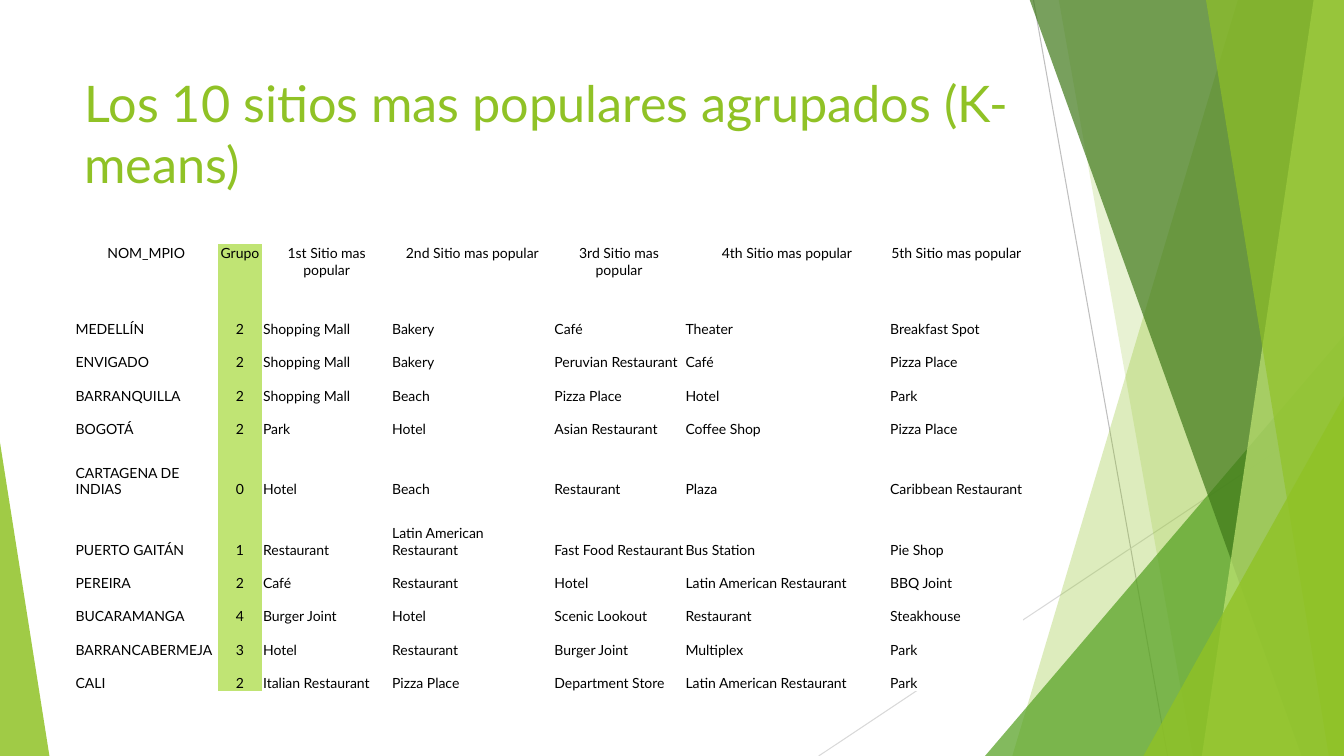
from dataclasses import dataclass

import pptx
import pptx.dml.color
import pptx.enum.dml
import pptx.enum.shapes
import pptx.enum.text
import pptx.oxml
import pptx.oxml.ns
import pptx.util
from pptx.dml.color import RGBColor

PX = 9144
WIDTH, HEIGHT = 1333, 750
FONT = "Lato"
NO_GRID_STYLE = "{2D5ABB26-0587-4C30-8999-92F81FD0307C}"

BLACK = RGBColor(0x00, 0x00, 0x00)
WHITE = RGBColor(0xFF, 0xFF, 0xFF)
SILVER = RGBColor(0xBF, 0xBF, 0xBF)
PALE_GRAY = RGBColor(0xD9, 0xD9, 0xD9)
LIME = RGBColor(0x90, 0xC2, 0x26)
PALE_LIME = RGBColor(0xC0, 0xE4, 0x74)
GREEN = RGBColor(0x54, 0xA0, 0x21)
DARK_GREEN = RGBColor(0x3F, 0x78, 0x19)


@dataclass(frozen=True)
class Ray:
    start: tuple[int, int]
    end: tuple[int, int]
    color: RGBColor


@dataclass(frozen=True)
class Band:
    top_left: int
    bottom_left: int
    color: RGBColor
    opacity: int


@dataclass(frozen=True)
class Corner:
    left: int
    top: int
    width: int
    apex: int
    color: RGBColor
    opacity: int


RAYS = [
    Ray((1025, 0), (1158, HEIGHT), SILVER),
    Ray((WIDTH, 403), (812, HEIGHT), PALE_GRAY),
]
FACETS = [
    Band(1228, 1004, LIME, 30),
    Band(1050, 1183, LIME, 20),
    Corner(977, 333, 356, 1, GREEN, 72),
    Band(1021, 1291, DARK_GREEN, 70),
    Band(1303, 1192, PALE_LIME, 70),
    Band(1196, 1318, LIME, 65),
    Corner(1134, 393, 199, 1, LIME, 80),
    Corner(0, 439, 49, 0, LIME, 85),
]

TITLE = "Los 10 sitios mas populares agrupados (K-means)"
GROUP_COLUMN = 1
COLUMN_WIDTHS = [142, 44, 128, 161, 130, 203, 133]
TALL_ROWS = {0, 5, 6}
ROWS = [
    ["NOM_MPIO", "Grupo", "1st Sitio mas popular", "2nd Sitio mas popular",
     "3rd Sitio mas popular", "4th Sitio mas popular", "5th Sitio mas popular"],
    ["MEDELLÍN", "2", "Shopping Mall", "Bakery", "Café", "Theater", "Breakfast Spot"],
    ["ENVIGADO", "2", "Shopping Mall", "Bakery", "Peruvian Restaurant", "Café", "Pizza Place"],
    ["BARRANQUILLA", "2", "Shopping Mall", "Beach", "Pizza Place", "Hotel", "Park"],
    ["BOGOTÁ", "2", "Park", "Hotel", "Asian Restaurant", "Coffee Shop", "Pizza Place"],
    ["CARTAGENA DE INDIAS", "0", "Hotel", "Beach", "Restaurant", "Plaza", "Caribbean Restaurant"],
    ["PUERTO GAITÁN", "1", "Restaurant", "Latin American Restaurant",
     "Fast Food Restaurant", "Bus Station", "Pie Shop"],
    ["PEREIRA", "2", "Café", "Restaurant", "Hotel", "Latin American Restaurant", "BBQ Joint"],
    ["BUCARAMANGA", "4", "Burger Joint", "Hotel", "Scenic Lookout", "Restaurant", "Steakhouse"],
    ["BARRANCABERMEJA", "3", "Hotel", "Restaurant", "Burger Joint", "Multiplex", "Park"],
    ["CALI", "2", "Italian Restaurant", "Pizza Place", "Department Store",
     "Latin American Restaurant", "Park"],
]


def px(n: int) -> pptx.util.Emu:
    return pptx.util.Emu(n * PX)


def set_font(p, size: int, color: RGBColor) -> None:
    p.font.name = FONT
    p.font.size = pptx.util.Pt(size)
    p.font.color.rgb = color


def add_ray(s, ray: Ray) -> None:
    line = s.shapes.add_connector(
        pptx.enum.shapes.MSO_CONNECTOR.STRAIGHT, *map(px, ray.start + ray.end))
    line.line.color.rgb = ray.color
    line.line.width = pptx.util.Pt(0.75)
    effects = pptx.oxml.parse_xml(f"<a:effectLst {pptx.oxml.ns.nsdecls('a')}/>")
    line.element.spPr.append(effects)


def add_facet(s, facet: Band | Corner) -> None:
    if isinstance(facet, Band):
        builder = s.shapes.build_freeform(facet.top_left, -1, scale=PX)
        builder.add_line_segments(
            [(WIDTH, -1), (WIDTH, HEIGHT), (facet.bottom_left, HEIGHT)], close=True)
        sp = builder.convert_to_shape()
    else:
        sp = s.shapes.add_shape(
            pptx.enum.shapes.MSO_SHAPE.ISOSCELES_TRIANGLE, px(facet.left),
            px(facet.top), px(facet.width), px(HEIGHT - facet.top))
        sp.adjustments[0] = facet.apex
    sp.shadow.inherit = False
    sp.line.fill.background()
    sp.fill.solid()
    sp.fill.fore_color.rgb = facet.color
    color = next(sp.element.spPr.iter(pptx.oxml.ns.qn("a:srgbClr")))
    color.append(pptx.oxml.parse_xml(
        f'<a:alpha {pptx.oxml.ns.nsdecls("a")} val="{facet.opacity * 1000}"/>'))


def add_title(s) -> None:
    tf = s.shapes.add_textbox(px(74), px(67), px(940), px(144)).text_frame
    tf.word_wrap = True
    p = tf.paragraphs[0]
    p.text = TITLE
    set_font(p, 36, LIME)


def fill_cell(cell, text: str, is_header: bool, is_group: bool) -> None:
    cell.margin_left = cell.margin_right = cell.margin_top = px(1)
    cell.margin_bottom = 0
    cell.fill.solid()
    cell.fill.fore_color.rgb = PALE_LIME if is_group else WHITE
    anchor = pptx.enum.text.MSO_ANCHOR
    cell.vertical_anchor = anchor.TOP if is_header else anchor.BOTTOM
    p = cell.text_frame.paragraphs[0]
    p.text = text
    align = pptx.enum.text.PP_ALIGN
    p.alignment = align.CENTER if is_header or is_group else align.LEFT
    set_font(p, 10, BLACK)


def add_sites_table(s) -> None:
    heights = [60 if i in TALL_ROWS else 33 for i in range(len(ROWS))]
    frame = s.shapes.add_table(
        len(ROWS), len(COLUMN_WIDTHS), px(74), px(242),
        px(sum(COLUMN_WIDTHS)), px(sum(heights)))
    next(frame.element.iter(pptx.oxml.ns.qn("a:tableStyleId"))).text = NO_GRID_STYLE
    table = frame.table
    table.first_row = table.horz_banding = False
    for column, width in zip(table.columns, COLUMN_WIDTHS):
        column.width = px(width)
    for i, (row, height, texts) in enumerate(zip(table.rows, heights, ROWS)):
        row.height = px(height)
        for j, (cell, text) in enumerate(zip(row.cells, texts)):
            fill_cell(cell, text, i == 0, j == GROUP_COLUMN)


def main() -> None:
    prs = pptx.Presentation()
    prs.slide_width, prs.slide_height = px(WIDTH), px(HEIGHT)
    s = prs.slides.add_slide(prs.slide_layouts[6])
    for ray in RAYS:
        add_ray(s, ray)
    for facet in FACETS:
        add_facet(s, facet)
    add_title(s)
    add_sites_table(s)
    prs.save("out.pptx")


if __name__ == "__main__":
    main()
